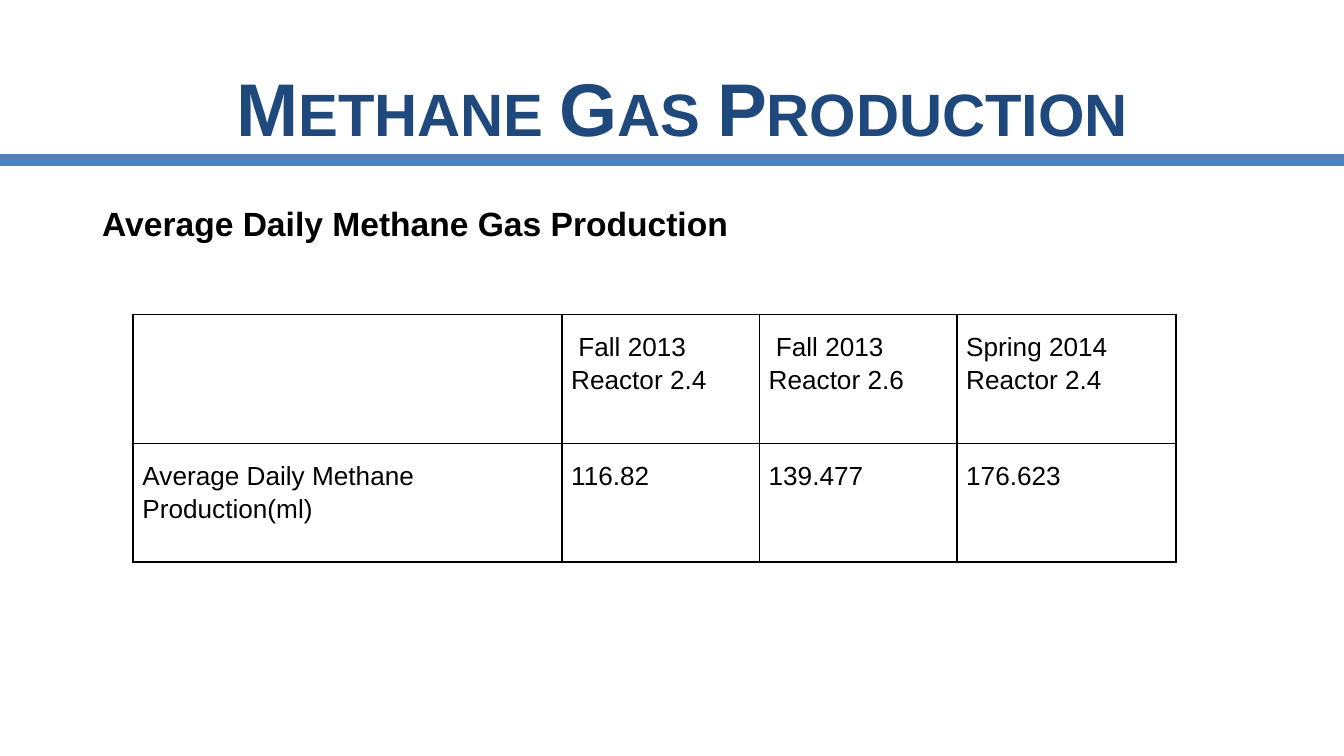
"""Build the methane gas production slide."""
from typing import NamedTuple

from lxml import etree
from pptx import Presentation
from pptx.dml.color import RGBColor
from pptx.enum.shapes import MSO_CONNECTOR
from pptx.enum.text import MSO_ANCHOR, MSO_AUTO_SIZE, PP_ALIGN
from pptx.oxml.ns import qn
from pptx.util import Inches, Pt

STRAIGHT = MSO_CONNECTOR.STRAIGHT
TOP, MIDDLE = MSO_ANCHOR.TOP, MSO_ANCHOR.MIDDLE
LEFT = PP_ALIGN.LEFT
NO_AUTOFIT = MSO_AUTO_SIZE.NONE
TITLE_ONLY_LAYOUT = 5
SLIDE_WIDTH = Inches(10)
SLIDE_HEIGHT = SLIDE_WIDTH * 9 // 16
FONT = "Arial"
COLORS = {"text": "000000", "heading": "1F497D", "rule": "4F81BD"}
COLUMN_WIDTHS = (3.19, 1.47, 1.47, 1.63)
ROW_HEIGHTS = (0.96, 0.88)
ROWS = (
    ("", " Fall 2013 Reactor 2.4", " Fall 2013 Reactor 2.6", "Spring 2014 Reactor 2.4"),
    ("Average Daily Methane Production(ml)", "116.82", "139.477", "176.623"),
)


class Box(NamedTuple):
    """Position and size in inches."""

    left: float
    top: float
    width: float
    height: float


def write_text(frame, text: str, *, size: float, color: str = "text", bold: bool = False,
               small_caps: bool = False, spacing: float = 1.0) -> None:
    """Write one formatted paragraph into a text frame."""
    paragraph = frame.paragraphs[0]
    paragraph.alignment = LEFT
    paragraph.line_spacing = spacing
    run = paragraph.add_run()
    run.text = text
    run.font.name = FONT
    run.font.size = Pt(size)
    run.font.bold = bold
    run.font.color.rgb = RGBColor.from_string(COLORS[color])
    if small_caps:
        run.font._element.set("cap", "small")


def place_text_shape(shape, box: Box, anchor) -> None:
    """Move a text shape and set up its frame."""
    shape.left, shape.top, shape.width, shape.height = map(Inches, box)
    frame = shape.text_frame
    frame.word_wrap = True
    frame.auto_size = NO_AUTOFIT
    frame.vertical_anchor = anchor
    frame.margin_left = frame.margin_right = Inches(0.1)
    frame.margin_top = frame.margin_bottom = Inches(0.1)


def add_rule(slide, top: float) -> None:
    """Draw the horizontal rule across the slide."""
    rule = slide.shapes.add_connector(STRAIGHT, 0, Inches(top), SLIDE_WIDTH, Inches(top))
    rule.line.color.rgb = RGBColor.from_string(COLORS["rule"])
    rule.line.width = Pt(6)
    etree.SubElement(rule._element.spPr, qn("a:effectLst"))


def set_borders(cell, color: str, width: float) -> None:
    """Give a cell a solid line on every side."""
    properties = cell._tc.get_or_add_tcPr()
    for side in ("lnL", "lnR", "lnT", "lnB"):
        line = etree.SubElement(properties, qn(f"a:{side}"), w=str(Pt(width)))
        fill = etree.SubElement(line, qn("a:solidFill"))
        etree.SubElement(fill, qn("a:srgbClr"), val=COLORS[color])


def add_production_table(slide, left: float, top: float) -> None:
    """Add the table of average daily production."""
    table = slide.shapes.add_table(
        len(ROWS), len(COLUMN_WIDTHS), Inches(left), Inches(top),
        Inches(sum(COLUMN_WIDTHS)), Inches(sum(ROW_HEIGHTS))).table
    table.first_row = table.horz_banding = False
    for column, width in zip(table.columns, COLUMN_WIDTHS):
        column.width = Inches(width)
    for row, height, texts in zip(table.rows, ROW_HEIGHTS, ROWS):
        row.height = Inches(height)
        for cell, text in zip(row.cells, texts):
            cell.margin_left = cell.margin_right = Inches(0.07)
            cell.margin_top = cell.margin_bottom = Inches(0.1)
            set_borders(cell, "text", 1)
            cell.fill.background()
            if text:
                write_text(cell.text_frame, text, size=14, spacing=1.15)


def main() -> None:
    """Build and save the presentation."""
    presentation = Presentation()
    presentation.slide_width, presentation.slide_height = SLIDE_WIDTH, SLIDE_HEIGHT
    slide = presentation.slides.add_slide(presentation.slide_layouts[TITLE_ONLY_LAYOUT])
    add_rule(slide, 1.19)

    title = slide.shapes.title
    place_text_shape(title, Box(0.66, 1.41, 8.5, 1.12), TOP)
    write_text(title.text_frame, "Average Daily Methane Gas Production", size=18, bold=True)

    add_production_table(slide, 0.99, 2.34)

    heading = slide.shapes.add_textbox(0, 0, 0, 0)
    place_text_shape(heading, Box(1.66, 0.09, 7.34, 1.41), MIDDLE)
    write_text(heading.text_frame, "Methane Gas Production", size=40, color="heading",
               bold=True, small_caps=True)
    presentation.save("out.pptx")


if __name__ == "__main__":
    main()
